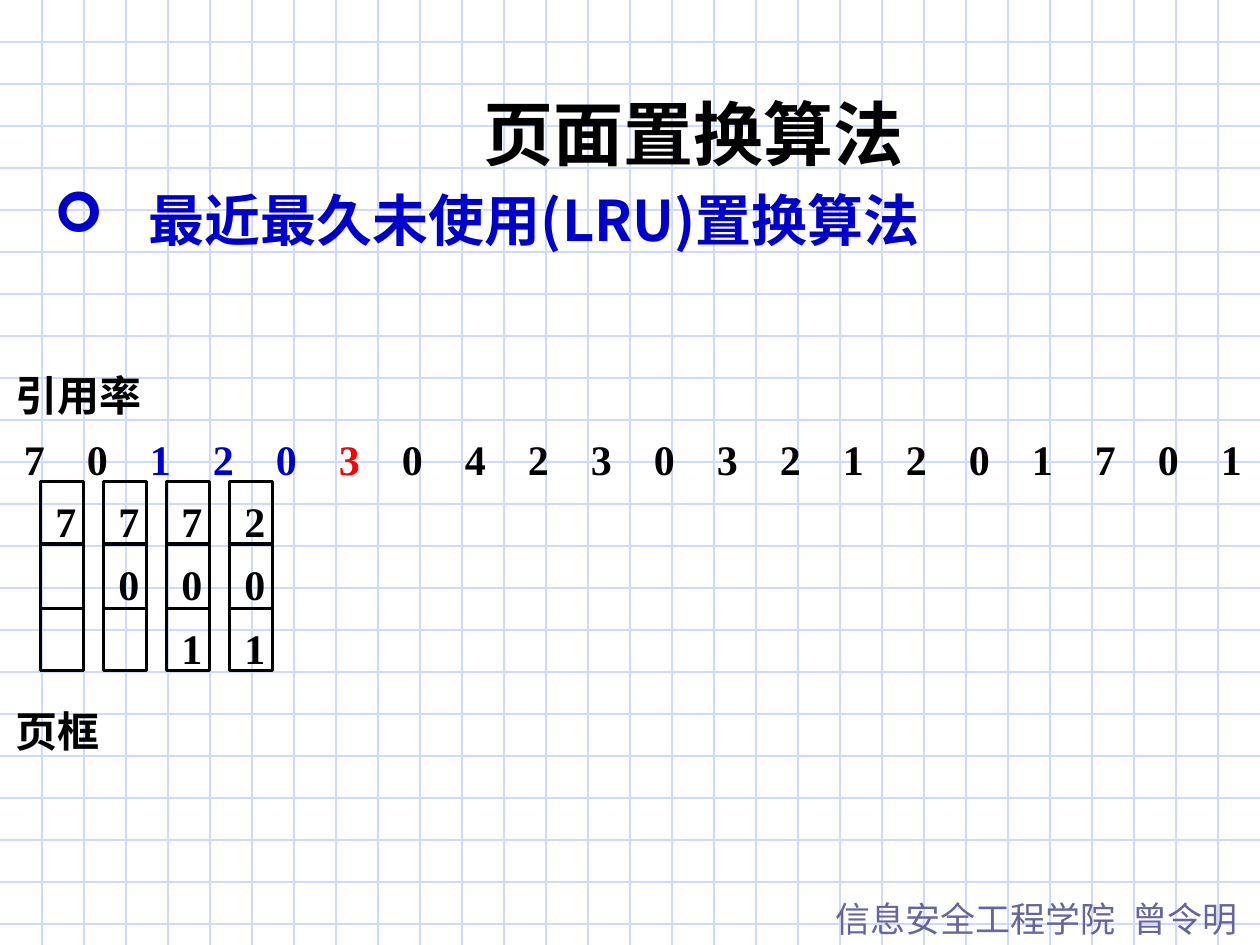
import pptx
import pptx.dml.color
import pptx.enum.shapes
import pptx.enum.text
import pptx.oxml.ns
import pptx.util
from lxml import etree

Inches = pptx.util.Inches
Pt = pptx.util.Pt
qn = pptx.oxml.ns.qn
ALIGN = pptx.enum.text.PP_ALIGN

COLORS = {
    "grid": "CFDBFD",
    "ink": "000000",
    "blue": "0000CC",
    "red": "FF0000",
    "footer": "666699",
}
SANS_JP = "Noto Sans CJK JP"
SANS_SC = "Noto Sans CJK SC"
SERIF = "Times New Roman"

PITCH = 0.5
REFERENCES = "70120304230321201701"
REFERENCE_COLORS = {2: "blue", 3: "blue", 4: "blue", 5: "red"}
FRAMES = ["7", "70", "701", "201"]
FRAME_ROWS = [(0, 0.49), (0.5, 0.51), (1.01, 0.49)]


def rgb(name):
    return pptx.dml.color.RGBColor.from_string(COLORS[name])


def add_text(page, box, text, size, font, color="ink", bold=True,
             align=None, inset=(0, 0), wrap=False):
    shape = page.shapes.add_textbox(*map(Inches, box))
    frame = shape.text_frame
    frame.word_wrap = wrap
    frame.margin_left = frame.margin_right = Inches(inset[0])
    frame.margin_top = frame.margin_bottom = Inches(inset[1])
    para = frame.paragraphs[0]
    para.text = text
    if align is not None:
        para.alignment = align
    return para, (size, font, color, bold)


def set_font(para, style):
    size, name, color, bold = style
    para.font.size = Pt(size)
    para.font.name = name
    para.font.bold = bold
    para.font.color.rgb = rgb(color)
    if name != SERIF:
        defaults = para._p.pPr.find(qn("a:defRPr"))
        etree.SubElement(defaults, qn("a:ea"), typeface=name)


def add_label(page, *args, **options):
    set_font(*add_text(page, *args, **options))


def add_digit(page, left, top, digit, color="ink"):
    add_label(page, (left, top, 0.17, 0.4), digit, 24, SERIF, color)


def add_grid_line(page, start, end):
    line = page.shapes.add_connector(
        pptx.enum.shapes.MSO_CONNECTOR.STRAIGHT,
        *map(Inches, start + end))
    line.line.color.rgb = rgb("grid")
    line.line.width = Pt(0.75)
    etree.SubElement(line._element.spPr, qn("a:effectLst"))


def add_grid(page, width, height):
    for row in range(1, int(height * 3) + 1):
        add_grid_line(page, (0, row / 3), (width, row / 3))
    for column in range(1, width * 3):
        add_grid_line(page, (column / 3, 0), (column / 3, height))


def add_footer(page, box):
    para, style = add_text(page, box, "信息安全工程学院\t曾令明", 20, SANS_JP,
                           "footer", False, inset=(0.1, 0.05), wrap=True)
    tabs = etree.SubElement(para._p.get_or_add_pPr(), qn("a:tabLst"))
    etree.SubElement(tabs, qn("a:tab"), pos=str(Inches(2.36)), algn="l")
    set_font(para, style)


def add_topic(page, box):
    para, style = add_text(page, box, "最近最久未使用(LRU)置换算法", 32, SANS_SC,
                           "blue", align=ALIGN.JUSTIFY, inset=(0.1, 0.05),
                           wrap=True)
    settings = para._p.get_or_add_pPr()
    settings.set("marL", str(Inches(0.75)))
    settings.set("indent", str(Inches(-0.75)))
    bullet_color = etree.SubElement(settings, qn("a:buClr"))
    etree.SubElement(bullet_color, qn("a:srgbClr"), val=COLORS["blue"])
    etree.SubElement(settings, qn("a:buFont"), typeface="Wingdings",
                     charset="2")
    etree.SubElement(settings, qn("a:buChar"), char="➢")
    set_font(para, style)


def add_references(page, left, top):
    for index, digit in enumerate(REFERENCES):
        add_digit(page, left + index * PITCH, top, digit,
                  REFERENCE_COLORS.get(index, "ink"))


def add_frame(page, left, top, digits):
    for row, (offset, height) in enumerate(FRAME_ROWS):
        cell = page.shapes.add_shape(
            pptx.enum.shapes.MSO_SHAPE.RECTANGLE,
            *map(Inches, (left, top + offset, 0.34, height)))
        cell.shadow.inherit = False
        cell.fill.background()
        cell.line.color.rgb = rgb("ink")
        cell.line.width = Pt(1.75)
        if row < len(digits):
            add_digit(page, left + 0.12, top + offset + 0.11, digits[row])


def main():
    deck = pptx.Presentation()
    deck.slide_width, deck.slide_height = Inches(10), Inches(7.5)
    page = deck.slides.add_slide(deck.slide_layouts[6])
    add_grid(page, 10, 7.5)
    add_footer(page, (6.53, 7.07, 3.47, 0.44))
    add_label(page, (1.42, 0.67, 8.17, 0.77), "页面置换算法", 40, SANS_JP,
              align=ALIGN.CENTER, inset=(0.1, 0.05), wrap=True)
    add_topic(page, (0.33, 1.42, 9.25, 0.75))
    add_label(page, (0.12, 2.93, 1, 0.4), "引用率", 24, SANS_SC)
    add_references(page, 0.19, 3.44)
    for index, digits in enumerate(FRAMES):
        add_frame(page, 0.32 + index * PITCH, 3.82, digits)
    add_label(page, (0.12, 5.6, 0.67, 0.4), "页框", 24, SANS_SC)
    deck.save("out.pptx")


if __name__ == "__main__":
    main()
